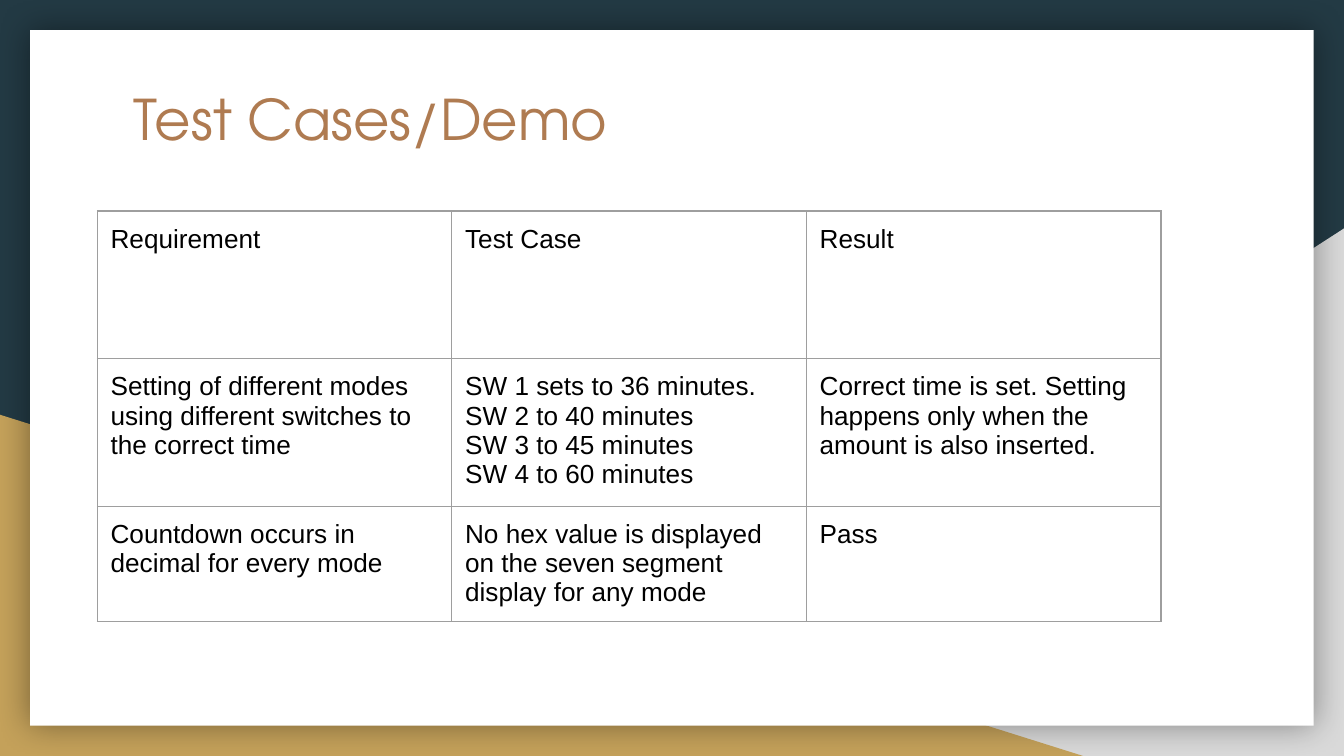
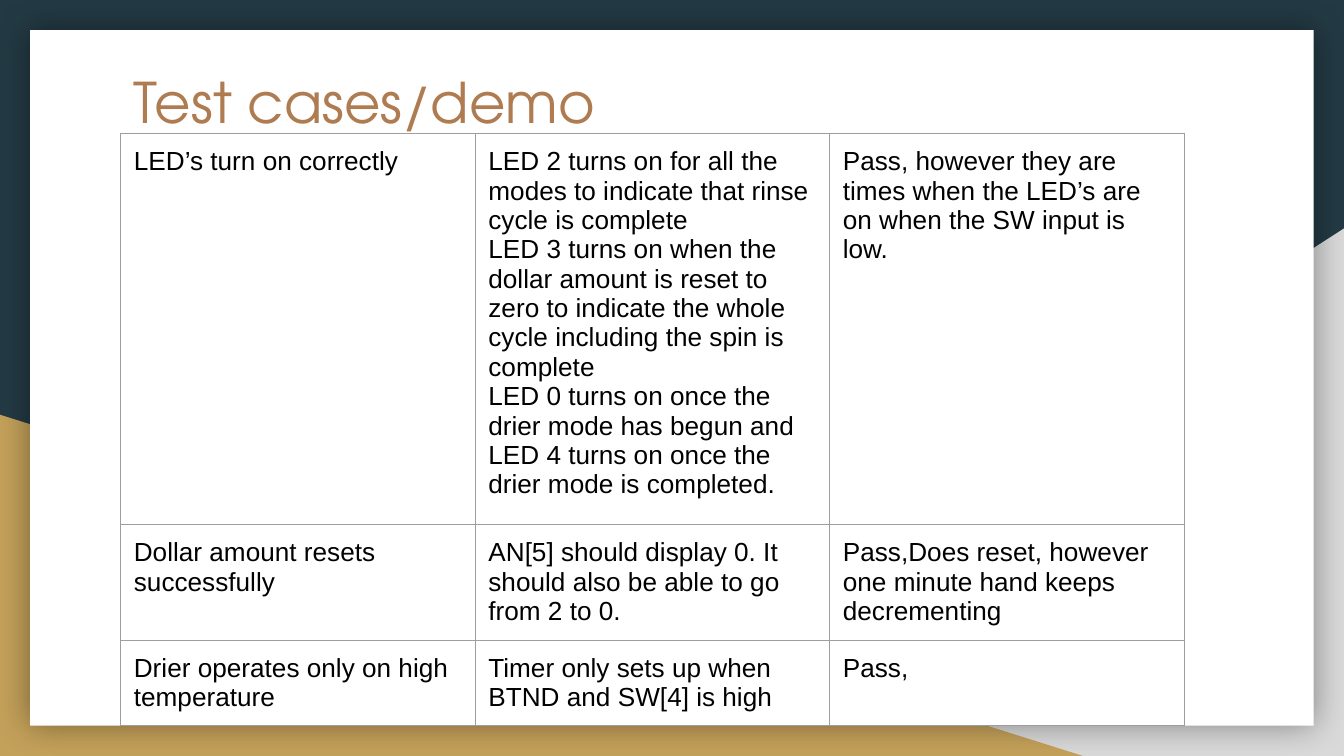
from lxml.etree import SubElement
from pptx import Presentation
from pptx.dml.color import RGBColor
from pptx.enum.shapes import MSO_SHAPE as Kind
from pptx.enum.text import MSO_ANCHOR as Anchor, MSO_AUTO_SIZE as Fit, PP_ALIGN as Align
from pptx.oxml.ns import qn
from pptx.util import Cm, Pt

WIDTH, HEIGHT = 25.4, 14.29
NAVY, GOLD, GREY, WHITE = "233A44", "C4A15A", "D9D9D9", "FFFFFF"
BROWN, BLACK, RULE = "AF7B51", "000000", "9E9E9E"
HEAD, BODY = "TeX Gyre Adventor", "Arial"
MARGIN = 0.57
INSET = Cm(0.25)
COLUMN = 6.7

MODES = [
    ["Requirement", "Test Case", "Result"],
    ["Setting of different modes using different switches to the correct time",
     "SW 1 sets to 36 minutes. SW 2 to 40 minutes\n"
     "SW 3 to 45 minutes\nSW 4 to 60 minutes",
     "Correct time is set. Setting happens only when the amount is also inserted."],
    ["Countdown occurs in decimal for every mode",
     "No hex value is displayed on the seven segment display for any mode",
     "Pass"],
]
LIGHTS = [
    ["LED’s turn on correctly",
     "LED 2 turns on for all the modes to indicate that rinse cycle is complete\n"
     "LED 3 turns on when the dollar amount is reset to zero to indicate "
     "the whole cycle including the spin is complete\n"
     "LED 0 turns on once the drier mode has begun and "
     "LED 4 turns on once the drier mode is completed.",
     "Pass, however they are times when the LED’s are on when the SW input is low."],
    ["Dollar amount resets successfully",
     "AN[5] should display 0. It should also be able to go from 2 to 0.",
     "Pass,Does reset, however one minute hand keeps decrementing"],
    ["Drier operates only on high temperature",
     "Timer only sets up when BTND and SW[4] is high",
     "Pass,"],
]


def paint(fill, color):
    fill.solid()
    fill.fore_color.rgb = RGBColor.from_string(color)


def style(frame, font, size, color):
    frame.word_wrap = True
    for para in frame.paragraphs:
        para.alignment = Align.LEFT
        for run in para.runs:
            run.font.name, run.font.size = font, Pt(size)
            run.font.color.rgb = RGBColor.from_string(color)


def inset(box):
    box.margin_left = box.margin_right = INSET
    box.margin_top = box.margin_bottom = INSET


def add_block(slide, kind, box, color):
    block = slide.shapes.add_shape(kind, *map(Cm, box))
    paint(block.fill, color)
    block.line.fill.background()
    block.shadow.inherit = False
    return block


def glow(shape):
    """Cast a soft, even shadow around the shape."""
    effects = shape.element.spPr.find(qn("a:effectLst"))
    shade = SubElement(effects, qn("a:outerShdw"), blurRad=str(Pt(18)),
                       dist="0", dir="0", algn="ctr", rotWithShape="0")
    tone = SubElement(shade, qn("a:srgbClr"), val=BLACK)
    SubElement(tone, qn("a:alpha"), val="40000")


def set_backdrop(master, slide, width, height):
    """Draw the shared backdrop on a slide and move it to the master."""
    paint(master.background.fill, NAVY)
    wide, tall = 15.44, 9.97
    right = add_block(slide, Kind.RIGHT_TRIANGLE,
                      (width - wide, height - tall, wide, tall), GREY)
    right.element.spPr.get_or_add_xfrm().set("flipH", "1")
    low = 6.45
    left = add_block(slide, Kind.RIGHT_TRIANGLE, (0, height - low, 20.47, low), GOLD)
    card = add_block(slide, Kind.RECTANGLE,
                     (MARGIN, MARGIN, width - 2 * MARGIN, height - 2 * MARGIN), WHITE)
    glow(card)
    for spot, shape in enumerate((right, left, card), 2):
        master.shapes.element.insert(spot, shape.element)


def set_title(slide, text, box):
    title = slide.shapes.title
    title.left, title.top, title.width, title.height = map(Cm, box)
    frame = title.text_frame
    frame.text = text
    frame.auto_size = Fit.NONE
    frame.vertical_anchor = Anchor.TOP
    inset(frame)
    style(frame, HEAD, 30, BROWN)


def set_cell(cell, text):
    cell.text = text
    inset(cell)
    style(cell.text_frame, BODY, 14, BLACK)
    props = cell._tc.get_or_add_tcPr()
    for side in "LRTB":
        line = SubElement(props, qn(f"a:ln{side}"), w=str(Pt(0.75)))
        SubElement(SubElement(line, qn("a:solidFill")), qn("a:srgbClr"), val=RULE)
    cell.fill.background()


def add_cases(slide, cases, left, top, heights):
    count = len(cases[0])
    table = slide.shapes.add_table(len(cases), count, Cm(left), Cm(top),
                                   Cm(COLUMN * count), Cm(sum(heights))).table
    table.first_row = table.horz_banding = False
    for column in table.columns:
        column.width = Cm(COLUMN)
    for row, height, texts in zip(table.rows, heights, cases):
        row.height = Cm(height)
        for cell, text in zip(row.cells, texts):
            set_cell(cell, text)


def add_page(deck, title, box, cases, left, top, heights):
    slide = deck.slides.add_slide(deck.slide_layouts[5])
    set_title(slide, title, box)
    add_cases(slide, cases, left, top, heights)
    return slide


def main():
    deck = Presentation()
    deck.slide_width, deck.slide_height = Cm(WIDTH), Cm(HEIGHT)
    first = add_page(deck, "Test Cases/Demo", (2.28, 1.35, 20.86, 2.63),
                     MODES, 1.84, 3.99, (2.79, 2.79, 2.18))
    add_page(deck, "Test cases/demo", (2.28, 1.02, 20.86, 1.5),
             LIGHTS, 2.28, 2.53, (7.39, 2.18, 1.62))
    set_backdrop(deck.slide_master, first, WIDTH, HEIGHT)
    deck.save("out.pptx")


if __name__ == "__main__":
    main()
